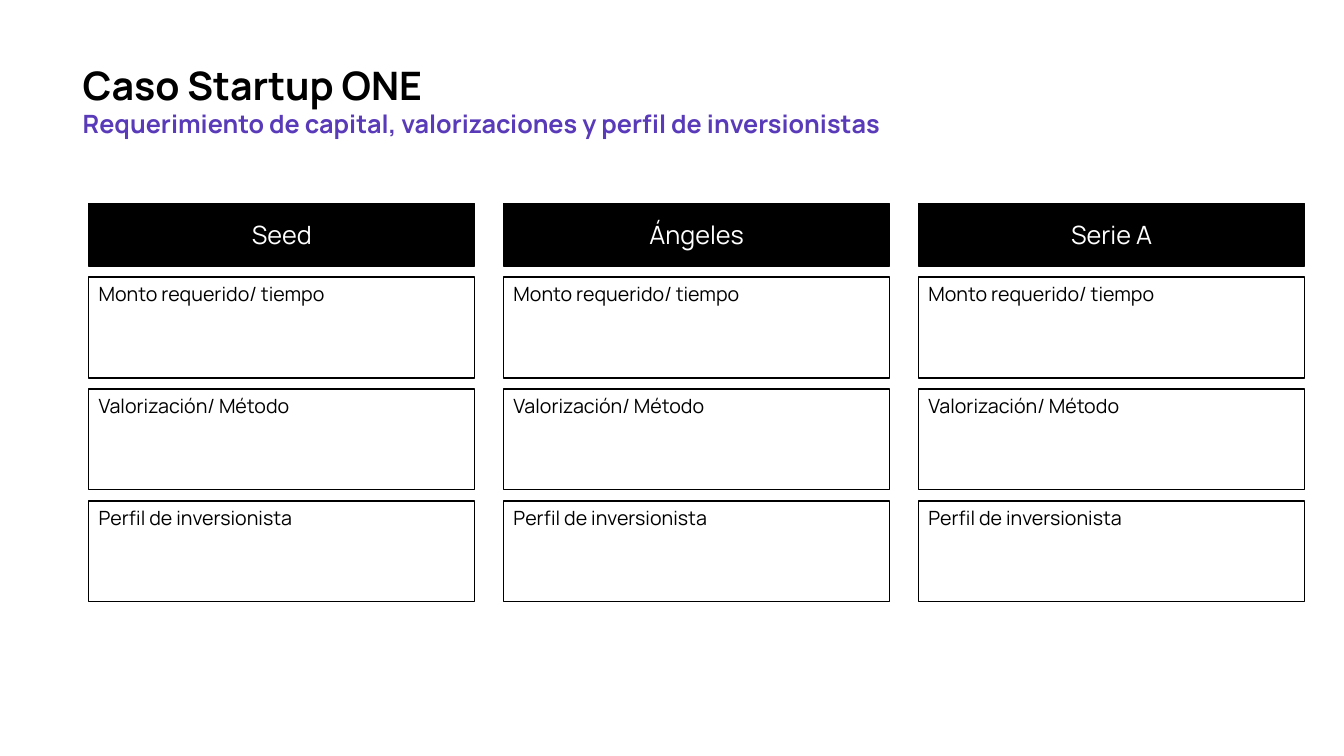
from pptx import Presentation
from pptx.dml.color import RGBColor
from pptx.enum.shapes import MSO_SHAPE
from pptx.enum.text import MSO_ANCHOR, MSO_AUTO_SIZE, PP_ALIGN
from pptx.util import Inches, Pt

RECTANGLE = MSO_SHAPE.RECTANGLE
TOP, MIDDLE = MSO_ANCHOR.TOP, MSO_ANCHOR.MIDDLE
LEFT, CENTER = PP_ALIGN.LEFT, PP_ALIGN.CENTER
FIT_SHAPE = MSO_AUTO_SIZE.SHAPE_TO_FIT_TEXT

COLORS = {"black": "000000", "white": "FFFFFF", "purple": "593BB9"}
FONT = "Manrope"
ROUNDS = ["Seed", "Ángeles", "Serie A"]
TOPICS = ["Monto requerido/ tiempo", "Valorización/ Método", "Perfil de inversionista"]


def color(name):
    """Return the named palette colour."""
    return RGBColor.from_string(COLORS[name])


def format_paragraph(paragraph, text, size, ink, align=LEFT, bold=False):
    """Write text into a paragraph and format it."""
    paragraph.text = text
    paragraph.alignment = align
    font = paragraph.font
    font.name, font.size, font.bold = FONT, Pt(size), bold
    font.color.rgb = color(ink)


def add_heading(slide, left, top, width, height):
    """Place the title and its subtitle in the title placeholder."""
    heading = slide.shapes.title
    heading.left, heading.top = Inches(left), Inches(top)
    heading.width, heading.height = Inches(width), Inches(height)
    frame = heading.text_frame
    frame.word_wrap = True
    frame.auto_size = FIT_SHAPE
    frame.vertical_anchor = TOP
    format_paragraph(frame.paragraphs[0], "Caso Startup ONE", 28, "black", bold=True)
    format_paragraph(
        frame.add_paragraph(),
        "Requerimiento de capital, valorizaciones y perfil de inversionistas",
        18, "purple", bold=True,
    )


def add_box(slide, left, top, width, height, text, size, fill, ink, align, anchor):
    """Add one black-outlined rectangle with text."""
    box = slide.shapes.add_shape(
        RECTANGLE, Inches(left), Inches(top), Inches(width), Inches(height))
    box.shadow.inherit = False
    box.fill.solid()
    box.fill.fore_color.rgb = color(fill)
    box.line.color.rgb = color("black")
    box.line.width = Pt(1)
    frame = box.text_frame
    frame.word_wrap = True
    frame.vertical_anchor = anchor
    format_paragraph(frame.paragraphs[0], text, size, ink, align)


def add_round(slide, left, top, width, height, name):
    """Add a funding round column: a header above equal topic boxes."""
    header_height, gap = 0.62, 0.11
    add_box(slide, left, top, width, header_height, name, 18,
            "black", "white", CENTER, MIDDLE)
    row_pitch = (height - header_height) / len(TOPICS)
    for row, topic in enumerate(TOPICS):
        row_top = top + header_height + gap + row * row_pitch
        add_box(slide, left, row_top, width, row_pitch - gap, topic, 14,
                "white", "black", LEFT, TOP)


def add_rounds(slide, left, top, width, height):
    """Spread the funding round columns evenly across the box."""
    column_width = 3.83
    pitch = (width - column_width) / (len(ROUNDS) - 1)
    for column, name in enumerate(ROUNDS):
        add_round(slide, left + column * pitch, top, column_width, height, name)


def main():
    """Build and save the slide."""
    deck = Presentation()
    deck.slide_width, deck.slide_height = Inches(13.33), Inches(7.5)
    slide = deck.slides.add_slide(deck.slide_layouts.get_by_name("Title Only"))
    add_heading(slide, 0.72, 0.56, 12.1, 0.91)
    add_rounds(slide, 0.88, 2.02, 12.06, 3.95)
    deck.save("out.pptx")


if __name__ == "__main__":
    main()
